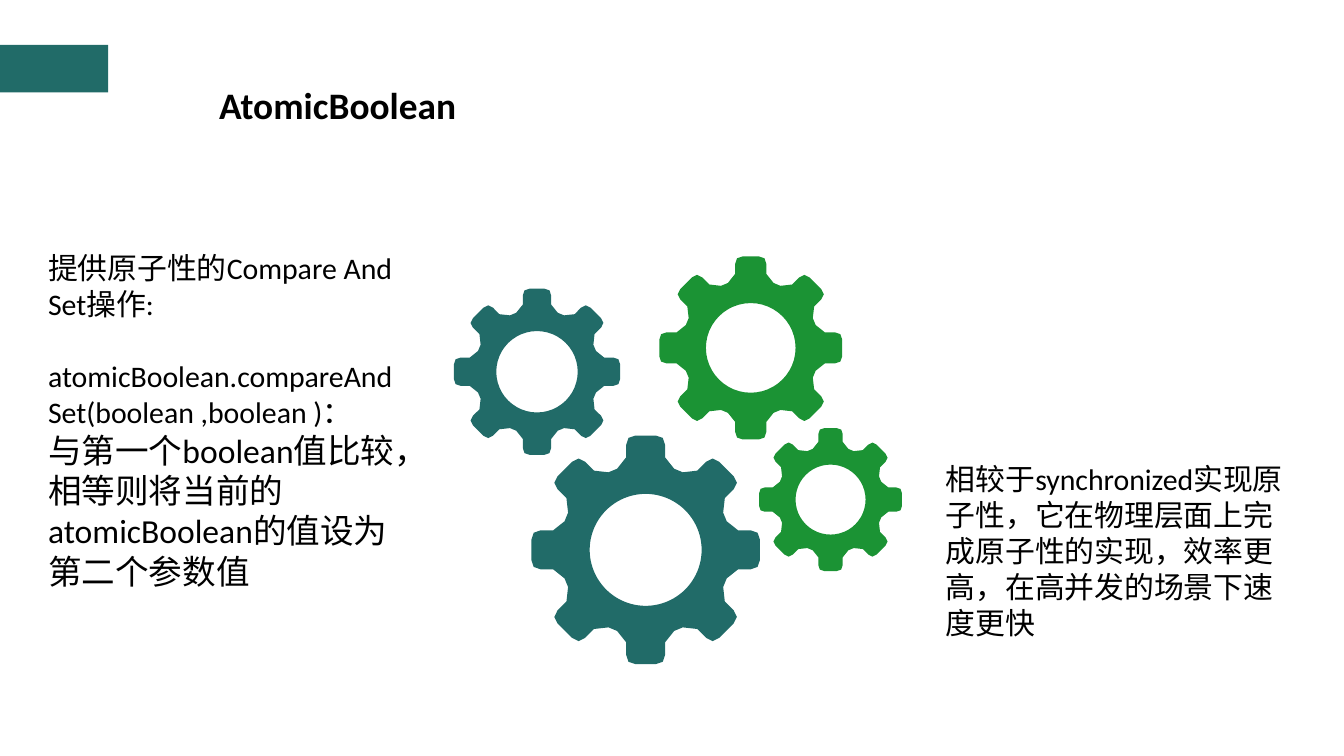
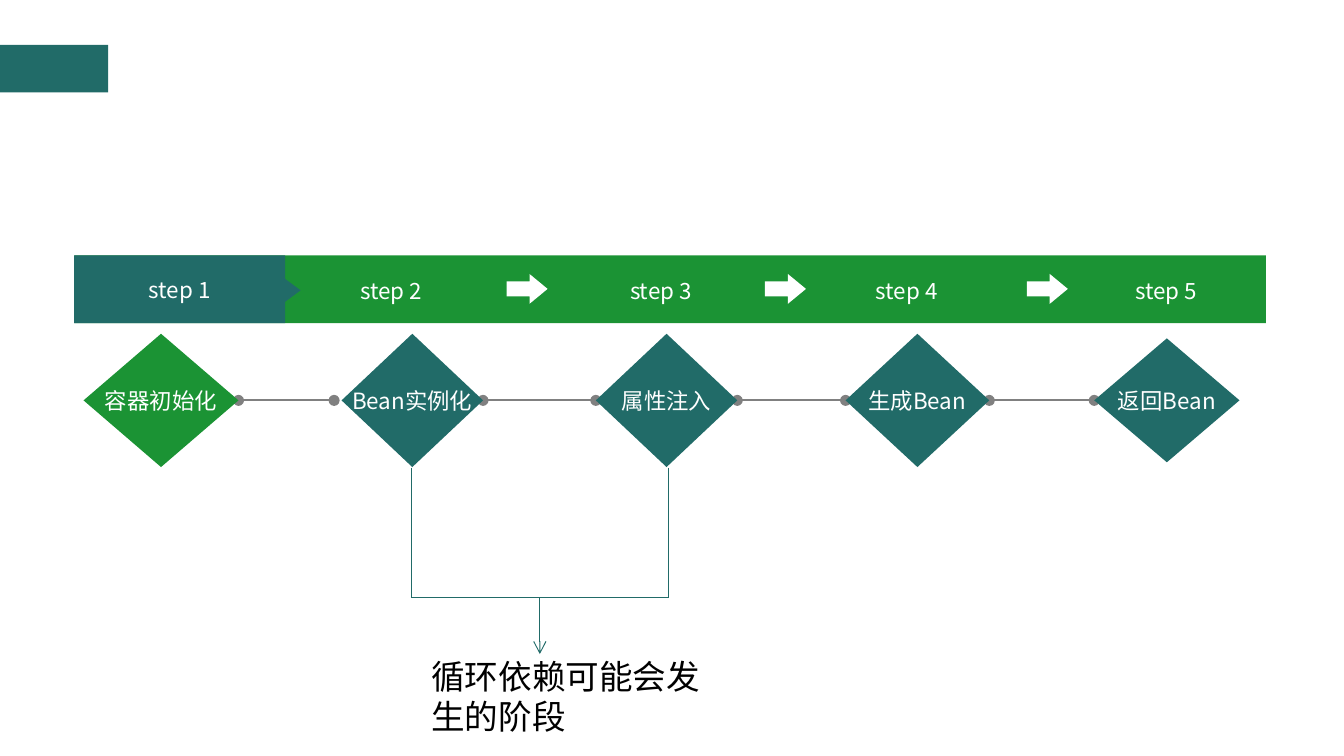
from math import cos, pi, sin

from lxml import etree
from pptx import Presentation
from pptx.dml.color import RGBColor
from pptx.enum.shapes import MSO_CONNECTOR as Line, MSO_SHAPE as Preset
from pptx.enum.text import MSO_ANCHOR as Anchor, PP_ALIGN as Align
from pptx.oxml.ns import qn
from pptx.util import Pt

TEAL, GREEN, GREY, WHITE, BLACK = "216B68", "1B9334", "808080", "FFFFFF", "000000"
LATIN, CJK = "Calibri", "Noto Sans CJK SC"
TITLE_ONLY, BLANK = 5, 6


def color(code):
    return RGBColor.from_string(code)


def style(para, size, name=LATIN, code=BLACK, bold=False, align=Align.LEFT):
    para.alignment = align
    font = para.font
    font.size, font.name, font.bold = Pt(size), name, bold
    font.color.rgb = color(code)
    props = para._p.pPr.find(qn("a:defRPr"))
    etree.SubElement(props, qn("a:ea")).set("typeface", CJK)


def paint(shape, fill):
    shape.shadow.inherit = False
    shape.fill.solid()
    shape.fill.fore_color.rgb = color(fill)
    shape.line.fill.background()
    return shape


def add_preset(page, preset, left, top, width, height, fill):
    return paint(page.shapes.add_shape(preset, Pt(left), Pt(top), Pt(width), Pt(height)), fill)


def label(shape, text):
    frame = shape.text_frame
    frame.text = text
    frame.word_wrap = False
    frame.vertical_anchor = Anchor.MIDDLE
    style(frame.paragraphs[0], 12, CJK, WHITE, align=Align.CENTER)


def add_text(page, left, top, width, height, paras):
    """Each paragraph is (text, size, space after)."""
    box = page.shapes.add_textbox(Pt(left), Pt(top), Pt(width), Pt(height))
    frame = box.text_frame
    frame.word_wrap = True
    for index, (text, size, gap) in enumerate(paras):
        para = frame.add_paragraph() if index else frame.paragraphs[0]
        para.text = text
        para.space_after = Pt(gap)
        style(para, size)


def add_line(page, x1, y1, x2, y2, code, width, head=None, tail=None):
    line = page.shapes.add_connector(Line.STRAIGHT, Pt(x1), Pt(y1), Pt(x2), Pt(y2))
    line.line.color.rgb = color(code)
    line.line.width = Pt(width)
    outline = line.line._get_or_add_ln()
    for tag, kind in (("a:headEnd", head), ("a:tailEnd", tail)):
        if kind:
            etree.SubElement(outline, qn(tag)).set("type", kind)
    etree.SubElement(line._element.spPr, qn("a:effectLst"))


def add_page(deck, layout):
    page = deck.slides.add_slide(deck.slide_layouts[layout])
    add_preset(page, Preset.RECTANGLE, 0, 24, 58, 25.5, TEAL)
    return page


def set_title(page, text, left, top, width, height):
    title = page.shapes.title
    title.left, title.top, title.width, title.height = Pt(left), Pt(top), Pt(width), Pt(height)
    frame = title.text_frame
    frame.text = text
    frame.vertical_anchor = Anchor.MIDDLE
    style(frame.paragraphs[0], 20, bold=True)


# Gears

def gear_outline(teeth=8):
    """Outline of a gear of radius 1, one tooth turned about the centre."""
    half = [(0.09, 1), (0.15, 0.98), (0.17, 0.92), (0.17, 0.81), (0.25, 0.71)]
    tooth = [(-x, y) for x, y in reversed(half)] + half
    for index in range(teeth):
        turn = 2 * pi * index / teeth
        for x, y in tooth:
            yield x * cos(turn) + y * sin(turn), y * cos(turn) - x * sin(turn)


def cut_hole(shape, size, radius):
    """Add a full circle to the path, so that the middle stays open."""
    outline = shape._element.spPr.find(".//" + qn("a:path"))
    start = etree.SubElement(etree.SubElement(outline, qn("a:moveTo")), qn("a:pt"))
    start.set("x", str(Pt(size / 2 - radius)))
    start.set("y", str(Pt(size / 2)))
    arc = etree.SubElement(outline, qn("a:arcTo"))
    for key, value in (("wR", Pt(radius)), ("hR", Pt(radius)),
                       ("stAng", 180 * 60000), ("swAng", -360 * 60000)):
        arc.set(key, str(value))
    etree.SubElement(outline, qn("a:close"))


def add_gear(page, left, top, size, fill):
    radius = size / 2
    rim = [(Pt(left + radius * (1 + x)), Pt(top + radius * (1 - y)))
           for x, y in gear_outline()]
    builder = page.shapes.build_freeform(*rim[0], scale=1.0)
    builder.add_line_segments(rim[1:], close=True)
    gear = paint(builder.convert_to_shape(), fill)
    cut_hole(gear, size, 0.49 * radius)


def add_gears(page, left, top):
    for x, y, size, fill in ((163.5, 92, 76.5, GREEN), (110, 0, 98, GREEN),
                             (41.5, 96, 122.4, TEAL), (0, 17.3, 89, TEAL)):
        add_gear(page, left + x, top + y, size, fill)


def gear_page(deck):
    page = add_page(deck, TITLE_ONLY)
    add_gears(page, 243.2, 137.4)
    set_title(page, "AtomicBoolean", 110.2, 40.3, 206.6, 31.7)
    add_text(page, 18.7, 130.3, 204.5, 213, [
        ("提供原子性的Compare And Set操作:", 16, 19.5),
        ("atomicBoolean.compareAndSet(boolean ,boolean )：", 16, 0),
        ("与第一个boolean值比较，相等则将当前的atomicBoolean的值设为第二个参数值", 18, 0)])
    add_text(page, 499.7, 243.4, 201.6, 104.4, [
        ("相较于synchronized实现原子性，它在物理层面上完成原子性的实现，"
         "效率更高，在高并发的场景下速度更快", 16, 0)])


# Steps

def add_step_band(page, left, top, width, height):
    add_preset(page, Preset.RECTANGLE, left, top, width, height, GREEN)
    for number, center in enumerate((169.7, 314.3, 446, 585), 2):
        box = page.shapes.add_textbox(Pt(left + center - 50), Pt(top + 8), Pt(100), Pt(21.6))
        label(box, f"step {number}")
    for x in (231.6, 370, 510.3):
        arrow = add_preset(page, Preset.RIGHT_ARROW, left + x, top + 10, 22, 16, WHITE)
        arrow.adjustments[1] = 0.605
    first = add_preset(page, Preset.RECTANGLE, left, top, 113, height, TEAL)
    label(first, "step 1")
    pointer = add_preset(page, Preset.ISOSCELES_TRIANGLE, left + 107, top + 13, 17, 11.5, TEAL)
    pointer.rotation = 90


def add_stages(page, left, top, height):
    """A row of diamonds joined by lines, all centred on one axis."""
    middle = top + height / 2
    stages = (("容器初始化", 0, 83, height, GREEN),
              ("Bean实例化", 138.2, 75.8, height, TEAL),
              ("属性注入", 274.4, 75.8, height, TEAL),
              ("生成Bean", 408.2, 77, height, TEAL),
              ("返回Bean", 541.4, 77.8, 66.4, TEAL))
    for index, (now, after) in enumerate(zip(stages, stages[1:])):
        end = after[1] - (4 if index == 0 else 0)
        add_line(page, left + now[1] + now[2], middle, left + end, middle,
                 GREY, 1, "oval", "oval")
    for text, x, width, tall, fill in stages:
        diamond = add_preset(page, Preset.DIAMOND, left + x, middle - tall / 2, width, tall, fill)
        frame = diamond.text_frame
        frame.margin_left = frame.margin_right = Pt(5)
        frame.margin_top = frame.margin_bottom = Pt(3)
        label(diamond, text)


def add_bracket(page, left, top, width, height, stem):
    bottom, center = top + height, left + width / 2
    for x in (left, left + width):
        add_line(page, x, top, x, bottom, TEAL, 0.5)
    add_line(page, left, bottom, left + width, bottom, TEAL, 0.5)
    add_line(page, center, bottom, center, bottom + stem, TEAL, 0.5, tail="arrow")


def step_page(deck):
    page = add_page(deck, BLANK)
    add_step_band(page, 39.8, 136.8, 638.4, 36.4)
    add_stages(page, 44.8, 178.8, 71.4)
    add_bracket(page, 220.4, 250.6, 137.6, 69.6, 30.2)
    add_text(page, 224, 347.8, 162.7, 51, [("循环依赖可能会发生的阶段", 18, 0)])


deck = Presentation()
deck.slide_width, deck.slide_height = Pt(720), Pt(405)
gear_page(deck)
step_page(deck)
deck.save("out.pptx")
